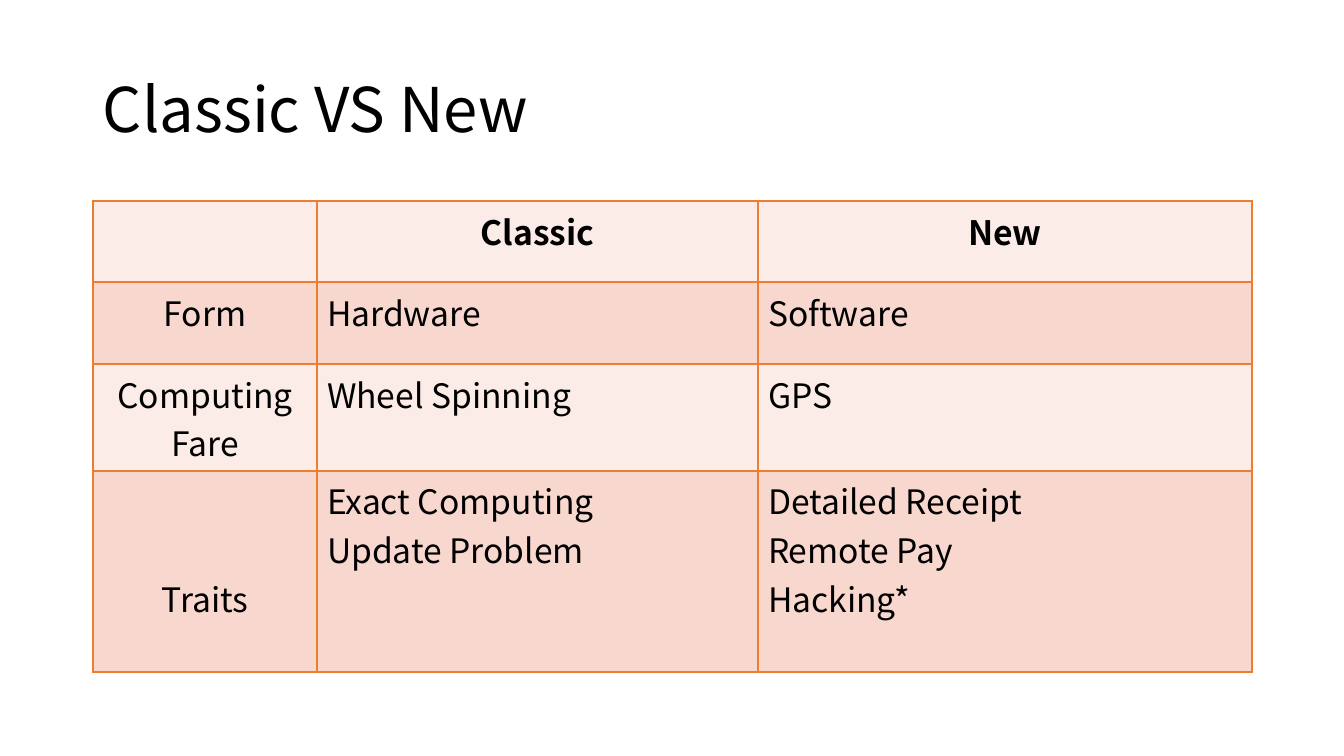
from lxml.etree import SubElement
from pptx import Presentation
from pptx.dml.color import RGBColor
from pptx.enum.text import MSO_ANCHOR, PP_ALIGN
from pptx.oxml.ns import qn
from pptx.util import Pt

TITLE = "Classic VS New"
ROWS = [
    ["", "Classic", "New"],
    ["Form", "Hardware", "Software"],
    ["Computing Fare", "Wheel Spinning", "GPS"],
    ["Traits", "Exact Computing\nUpdate Problem", "Detailed Receipt\nRemote Pay\nHacking*"],
]
COLUMN_WIDTHS = [224, 441, 494]
ROW_HEIGHTS = [81, 82, 107, 201]
BAND_FILLS = ["FCECE8", "F8D7CE"]
BORDER = "ED7D31"
FONT = "Noto Sans CJK KR"
LEFT, TABLE_TOP = 93, 201
TRAITS_MARGIN = 103


def px(length):
    return round(length * 914400 / 100.8)


def color(value):
    return RGBColor.from_string(value)


def write(frame, text, size=24, bold=False, align=PP_ALIGN.LEFT, spacing=None):
    frame.word_wrap = True
    frame.text = text
    for paragraph in frame.paragraphs:
        paragraph.alignment = align
        if spacing:
            paragraph.line_spacing = spacing
        for run in paragraph.runs:
            run.font.name = FONT
            run.font.size = Pt(size)
            run.font.bold = bold
            run.font.color.rgb = color("000000")


def add_borders(cell):
    properties = cell._tc.get_or_add_tcPr()
    for side in ("lnL", "lnR", "lnT", "lnB"):
        line = SubElement(properties, qn(f"a:{side}"), w=str(Pt(1)))
        fill = SubElement(line, qn("a:solidFill"))
        SubElement(fill, qn("a:srgbClr"), val=BORDER)


presentation = Presentation()
presentation.slide_width, presentation.slide_height = px(1344), px(756)
slide = presentation.slides.add_slide(presentation.slide_layouts[6])

title = slide.shapes.add_textbox(px(LEFT), px(40), px(1159), px(146))
title.text_frame.vertical_anchor = MSO_ANCHOR.MIDDLE
write(title.text_frame, TITLE, size=44, spacing=0.9)

table = slide.shapes.add_table(
    len(ROWS), len(COLUMN_WIDTHS), px(LEFT), px(TABLE_TOP),
    px(sum(COLUMN_WIDTHS)), px(sum(ROW_HEIGHTS))).table
table.first_row = table.horz_banding = False
for column, width in zip(table.columns, COLUMN_WIDTHS):
    column.width = px(width)

for r, (texts, height) in enumerate(zip(ROWS, ROW_HEIGHTS)):
    table.rows[r].height = px(height)
    for c, text in enumerate(texts):
        cell = table.cell(r, c)
        centered = r == 0 or c == 0
        write(cell.text_frame, text, bold=r == 0,
              align=PP_ALIGN.CENTER if centered else PP_ALIGN.LEFT)
        add_borders(cell)
        cell.fill.solid()
        cell.fill.fore_color.rgb = color(BAND_FILLS[r % 2])

table.cell(len(ROWS) - 1, 0).margin_top = px(TRAITS_MARGIN)

presentation.save("out.pptx")
